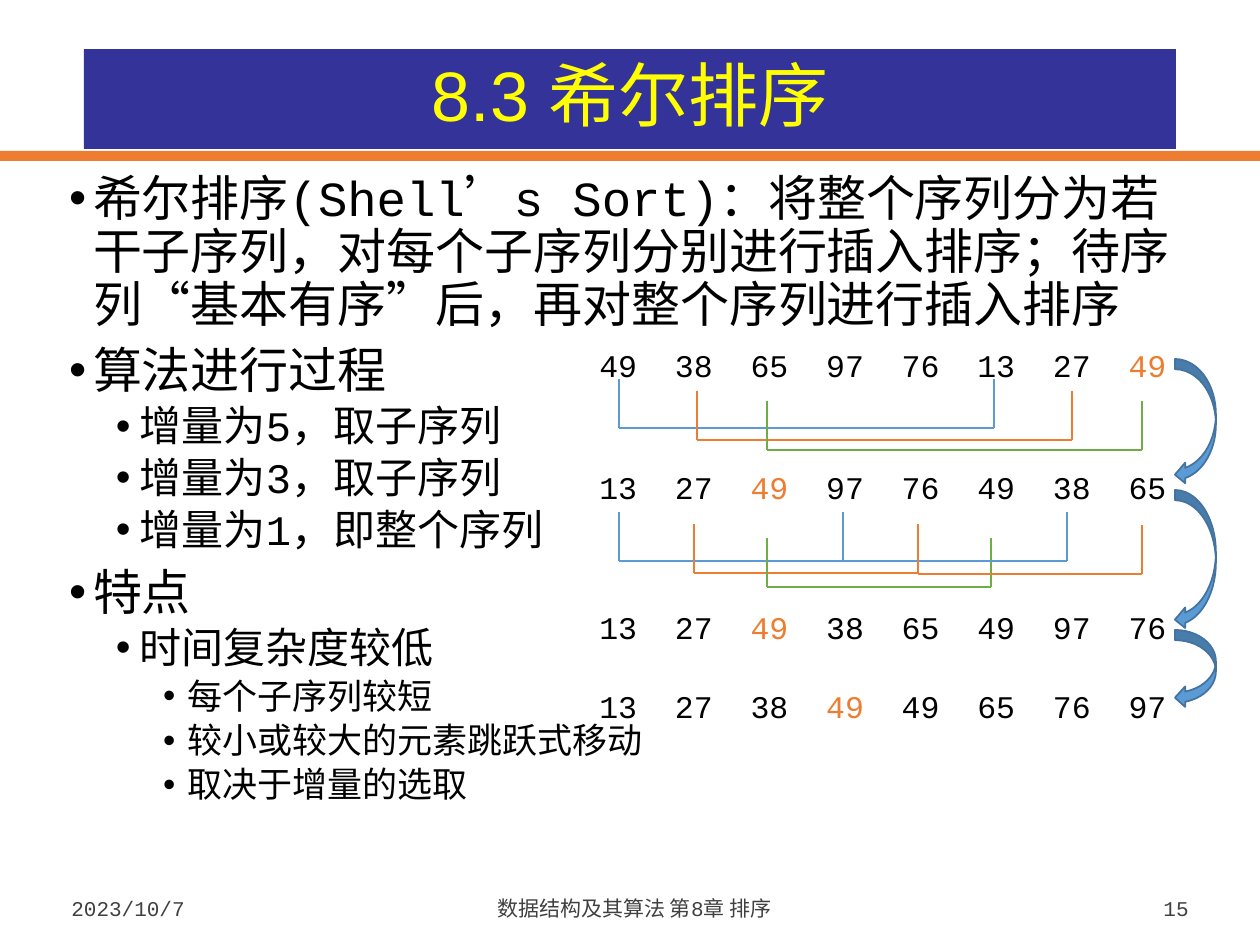
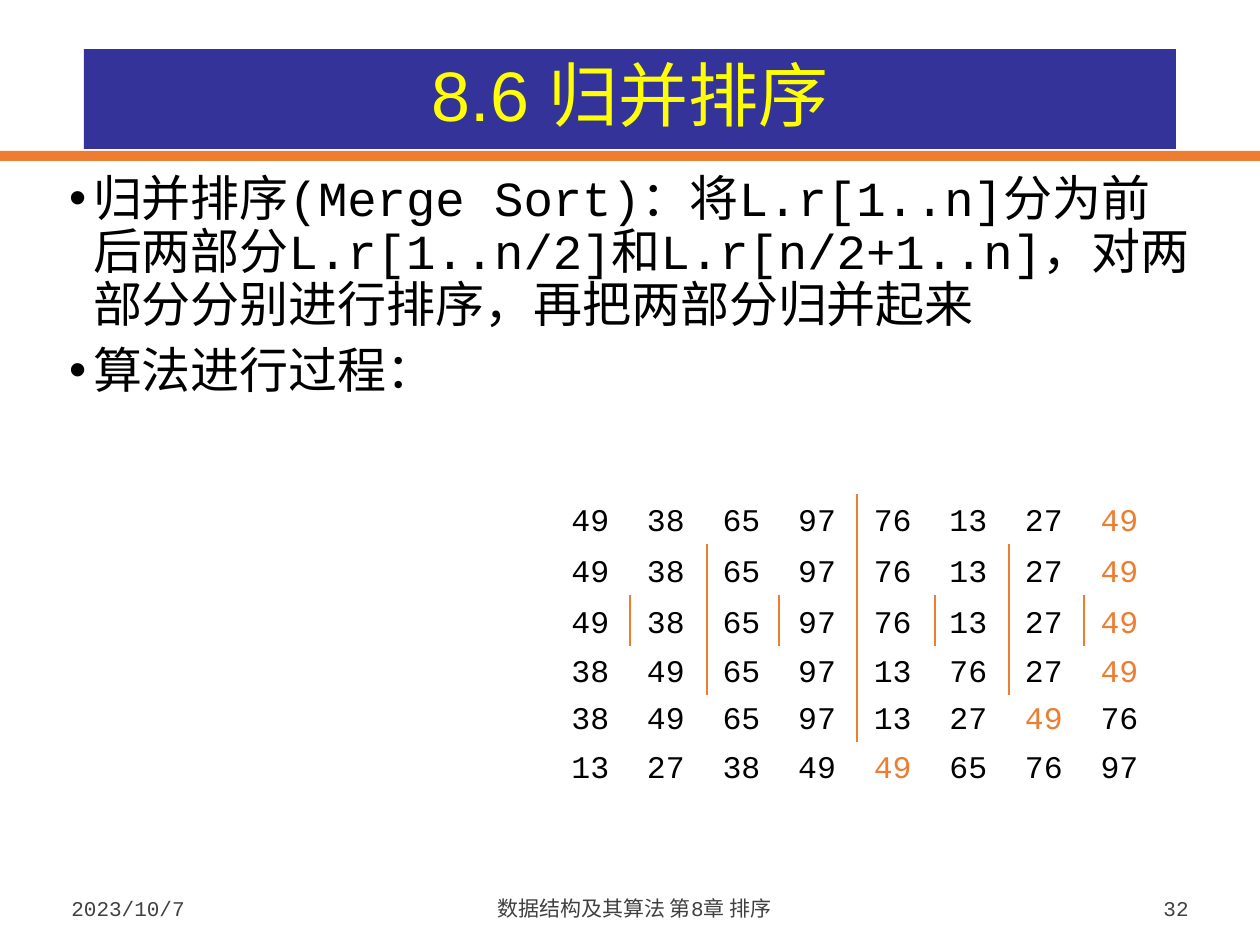
from lxml import etree
from pptx import Presentation
from pptx import util as u
from pptx.dml import color
from pptx.enum import shapes, text
from pptx.oxml.ns import qn

# Shared style: lengths are pixels at 126 to the inch
PX = 914400 // 126
MONO, SANS = "Courier New", "Arial"
BLACK, GREY, NAVY, YELLOW = "000000", "404040", "333399", "FFFF00"
BLUE, ORANGE, GREEN, EDGE = "5B9BD5", "ED7D31", "70AD47", "43739E"
hue = color.RGBColor.from_string
LEFT, MID, RIGHT = text.PP_ALIGN.LEFT, text.PP_ALIGN.CENTER, text.PP_ALIGN.RIGHT


def box(page, x, y, w, h):
    frame = page.shapes.add_textbox(x * PX, y * PX, w * PX, h * PX).text_frame
    frame.word_wrap = True
    return frame


def write(par, words, size, tint=BLACK, face=MONO):
    run = par.add_run()
    run.text = words
    run.font.size = u.Pt(size)
    run.font.name = face
    run.font.color.rgb = hue(tint)


# Content: title, page number, (level, point), left of rows, (top, row);
# stars enclose the marked key
pages = [
    ("8.3 希尔排序", "15", [
        (0, "希尔排序(Shell’s Sort)：将整个序列分为若干子序列，对每个子序列"
            "分别进行插入排序；待序列“基本有序”后，再对整个序列进行插入排序"),
        (0, "算法进行过程"),
        (1, "增量为5，取子序列"),
        (1, "增量为3，取子序列"),
        (1, "增量为1，即整个序列"),
        (0, "特点"),
        (1, "时间复杂度较低"),
        (2, "每个子序列较短"),
        (2, "较小或较大的元素跳跃式移动"),
        (2, "取决于增量的选取"),
    ], 587, [
        (340, "49 38 65 97 76 13 27 *49*"),
        (462, "13 27 *49* 97 76 49 38 65"),
        (602, "13 27 *49* 38 65 49 97 76"),
        (681, "13 27 38 *49* 49 65 76 97"),
    ]),
    ("8.6 归并排序", "32", [
        (0, "归并排序(Merge Sort)：将L.r[1..n]分为前后两部分L.r[1..n/2]"
            "和L.r[n/2+1..n]，对两部分分别进行排序，再把两部分归并起来"),
        (0, "算法进行过程："),
    ], 559, [
        (494, "49 38 65 97 76 13 27 *49*"),
        (545, "49 38 65 97 76 13 27 *49*"),
        (596, "49 38 65 97 76 13 27 *49*"),
        (645, "38 49 65 97 13 76 27 *49*"),
        (692, "38 49 65 97 13 27 *49* 76"),
        (741, "13 27 38 49 *49* 65 76 97"),
    ]),
]

deck = Presentation()
deck.slide_width, deck.slide_height = u.Inches(10), u.Inches(7.5)

for title, number, points, left, rows in pages:
    page = deck.slides.add_slide(deck.slide_layouts[5])

    # Band under the title
    band = page.shapes.add_shape(shapes.MSO_SHAPE.RECTANGLE,
                                 0, 151 * PX, deck.slide_width, 10 * PX)
    band.shadow.inherit = False
    band.fill.solid()
    band.fill.fore_color.rgb = hue(ORANGE)
    band.line.fill.background()

    # Title
    head = page.shapes.title
    head.left, head.top, head.width, head.height = 84 * PX, 49 * PX, 1092 * PX, 100 * PX
    head.fill.solid()
    head.fill.fore_color.rgb = hue(NAVY)
    frame = head.text_frame
    frame.auto_size = text.MSO_AUTO_SIZE.NONE
    frame.vertical_anchor = text.MSO_ANCHOR.MIDDLE
    par = frame.paragraphs[0]
    par.alignment, par.line_spacing = MID, 0.9
    write(par, title, 40, YELLOW, SANS)

    # Bulleted points
    frame = box(page, 59, 164, 1142, 694)
    frame.margin_left = frame.margin_right = 10 * PX
    frame.margin_top = frame.margin_bottom = 10 * PX
    for i, (level, words) in enumerate(points):
        par = frame.add_paragraph() if i else frame.paragraphs[0]
        par.level, par.line_spacing = level, 0.9
        par.space_before = u.Pt(3.75 if level else 7.5)
        props = par._p.get_or_add_pPr()
        props.set("marL", str((24 + 47 * level) * PX))
        props.set("indent", str(-24 * PX))
        etree.SubElement(props, qn("a:buFont"), typeface=SANS)
        etree.SubElement(props, qn("a:buChar"), char="•")
        write(par, words, 28 - 4 * level)

    # Footer
    for x, w, side, words in ((59, 164, LEFT, "2023/10/7"),
                              (232, 805, MID, "数据结构及其算法 第8章 排序"),
                              (1052, 149, RIGHT, number)):
        frame = box(page, x, 878, w, 49)
        frame.vertical_anchor = text.MSO_ANCHOR.BOTTOM
        frame.paragraphs[0].alignment = side
        write(frame.paragraphs[0], words, 12, GREY)

    # Rows of keys, one tab stop every 0.6 inch
    for y, row in rows:
        par = box(page, left, y, 595, 50).paragraphs[0]
        tabs = etree.SubElement(par._p.get_or_add_pPr(), qn("a:tabLst"))
        for i in range(1, 8):
            etree.SubElement(tabs, qn("a:tab"), pos=str(u.Inches(0.6) * i), algn="l")
        for i, part in enumerate(row.replace(" ", "\t").split("*")):
            if part:
                write(par, part, 18, ORANGE if i % 2 else BLACK)

shell, merge = deck.slides
lines = []

# Brackets joining the keys of each subsequence
DEPTH = 49
for span, marks in (
    (375, [(619, 379, BLUE), (697, 391, ORANGE), (767, 401, GREEN)]),
    (224, [(619, 512, BLUE), (694, 524, ORANGE), (767, 538, GREEN),
           (843, 512, BLUE), (918, 525, ORANGE)]),
):
    for x, y, tint in marks:
        group = shell.shapes.add_group_shape().shapes
        end, low = x + span, y + DEPTH
        lines += [(group, x, y, x, low, tint),
                  (group, x, low, end, low, tint),
                  (group, end, low, end, y, tint)]

# Splits between the parts: x, first row, last row
tops = [494, 544, 595, 644, 691]
for x, first, last in ((857, 0, 4), (707, 1, 3), (1009, 1, 3),
                       (630, 2, 2), (779, 2, 2), (935, 2, 2), (1084, 2, 2)):
    for y in tops[first:last + 1]:
        lines.append((merge.shapes, x, y, x, y + 51, ORANGE))

for tree, x, y, end, low, tint in lines:
    line = tree.add_connector(shapes.MSO_CONNECTOR.STRAIGHT,
                              x * PX, y * PX, end * PX, low * PX)
    line.line.color.rgb = hue(tint)
    line.line.width = u.Pt(1.5)
    etree.SubElement(line._element.spPr, qn("a:effectLst"))

# Arrows from one pass to the next
for y, h in ((359, 126), (490, 140), (630, 78)):
    arrow = shell.shapes.add_shape(shapes.MSO_SHAPE.CURVED_LEFT_ARROW,
                                   1175 * PX, y * PX, 41 * PX, h * PX)
    arrow.shadow.inherit = False
    arrow.fill.solid()
    arrow.fill.fore_color.rgb = hue(BLUE)
    arrow.line.color.rgb = hue(EDGE)
    arrow.line.width = u.Pt(1)

deck.save("out.pptx")
